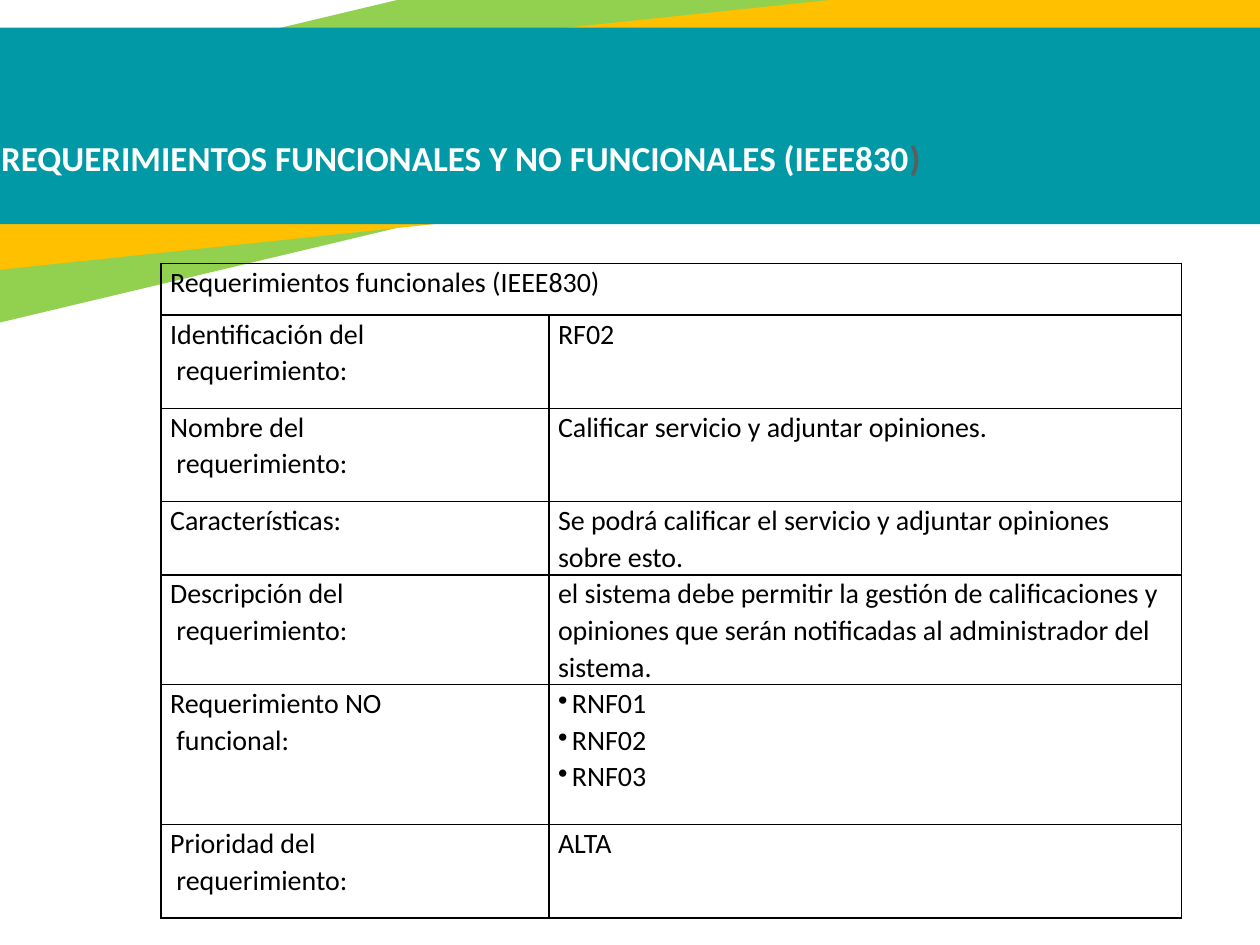
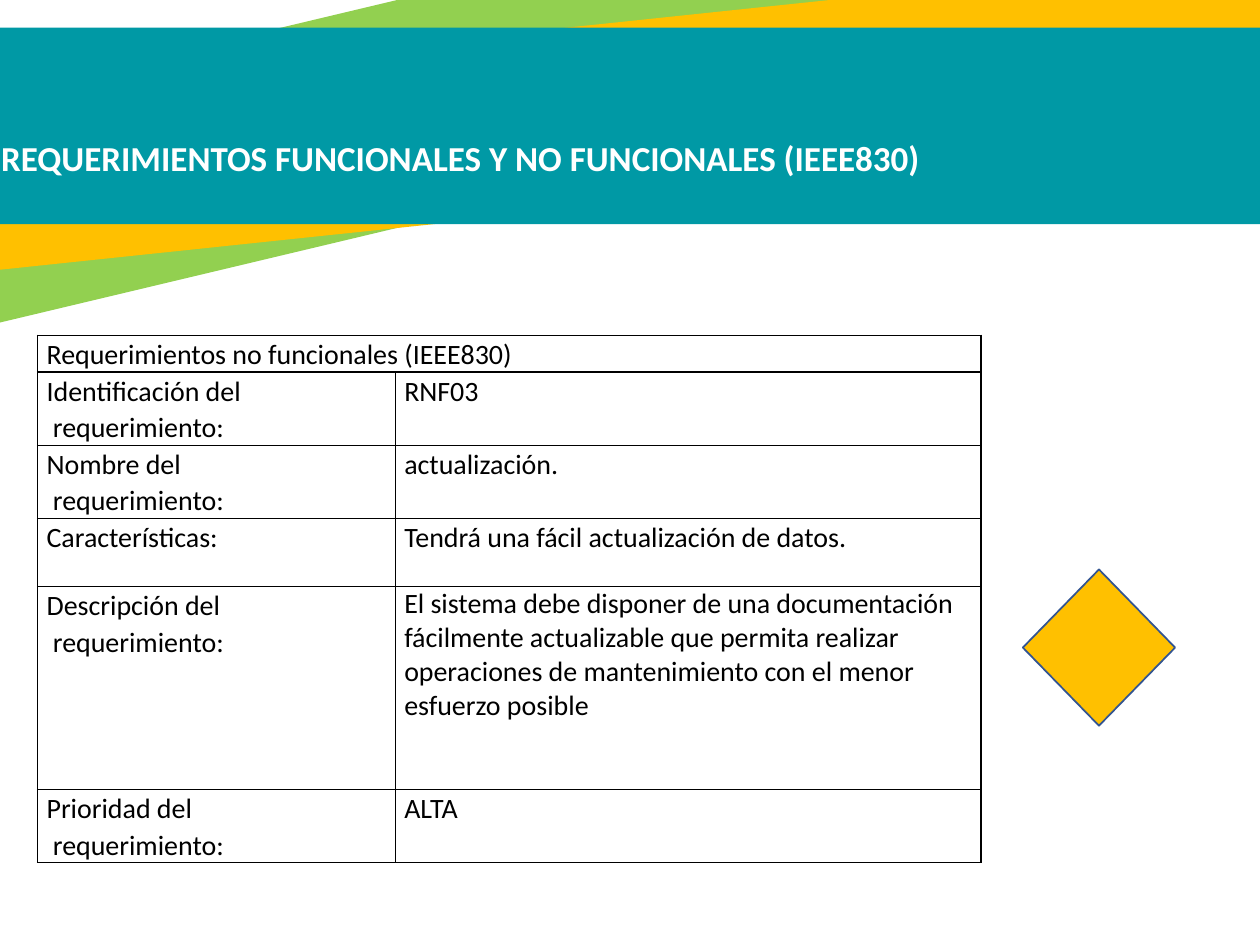
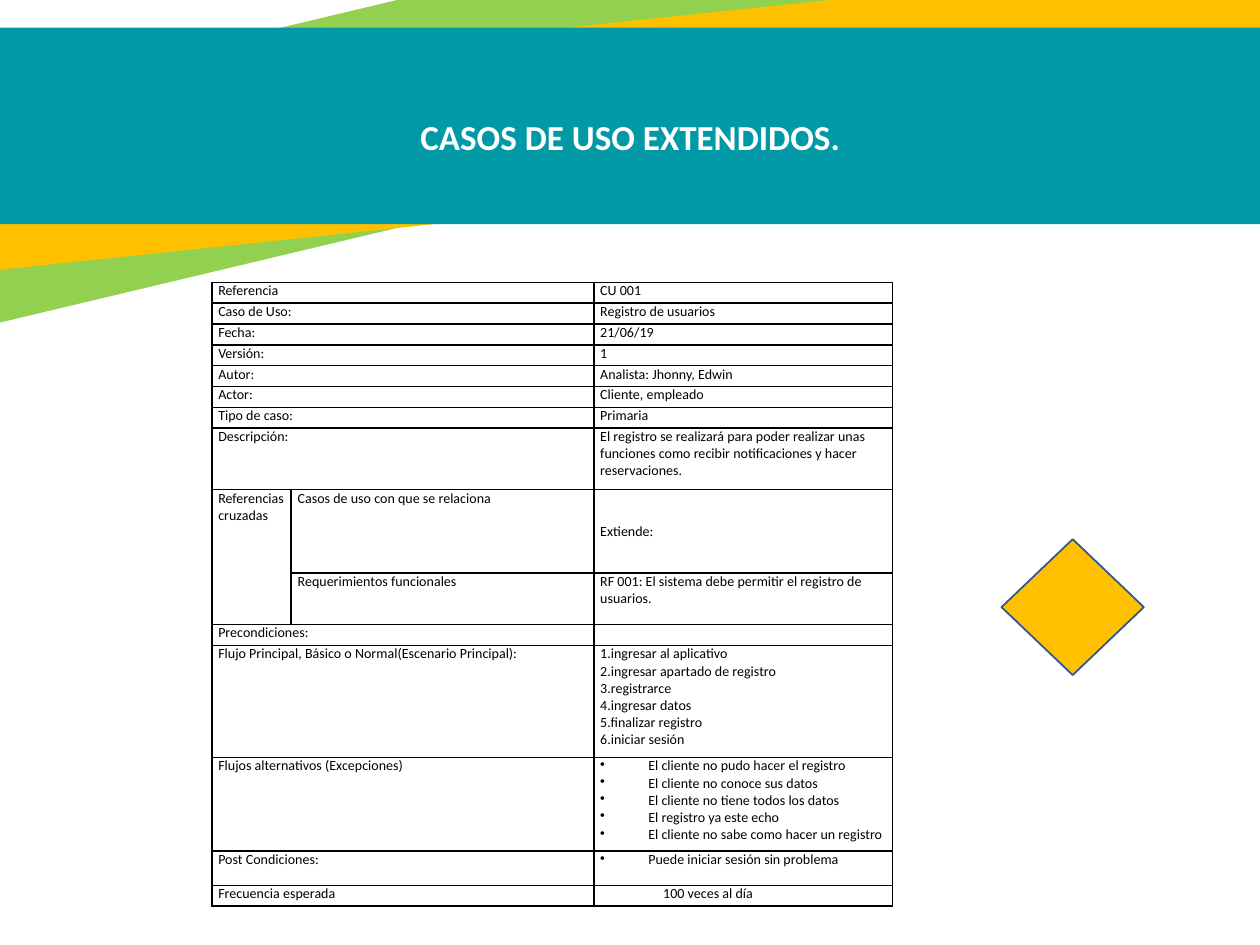
"""Build three slides with requirement tables and an extended use case."""
from lxml import etree
from pptx import Presentation
from pptx.dml.color import RGBColor
from pptx.enum.shapes import MSO_SHAPE
from pptx.enum.text import MSO_ANCHOR, MSO_AUTO_SIZE, PP_ALIGN
from pptx.oxml.ns import qn
from pptx.util import Cm, Pt

RECT, DIAMOND = MSO_SHAPE.RECTANGLE, MSO_SHAPE.DIAMOND
TOP, MIDDLE = MSO_ANCHOR.TOP, MSO_ANCHOR.MIDDLE
LEFT, CENTER = PP_ALIGN.LEFT, PP_ALIGN.CENTER
NO_FIT = MSO_AUTO_SIZE.NONE

FONT = "Calibri"
GREEN, AMBER, TEAL = "92D050", "FFC000", "0099A5"
WHITE, BLACK, GRAY, NAVY = "FFFFFF", "000000", "5E5C5D", "325491"


def add_shape(s, kind, box, fill, line=None):
    sp = s.shapes.add_shape(kind, *[Cm(v) for v in box])
    sp.shadow.inherit = False
    sp.fill.solid()
    sp.fill.fore_color.rgb = RGBColor.from_string(fill)
    if line:
        sp.line.color.rgb = RGBColor.from_string(line)
        sp.line.width = Pt(1)
    else:
        sp.line.fill.background()
    return sp


def add_run(p, text, size, color, bold=False):
    r = p.add_run()
    r.text = text
    r.font.name = FONT
    r.font.size = Pt(size)
    r.font.bold = bold
    r.font.color.rgb = RGBColor.from_string(color)


ID, NAME = "Identificación del\n requerimiento:", "Nombre del\n requerimiento:"
FEATURES, DESCRIPTION = "Características:", "Descripción del\n requerimiento:"
PRIORITY = "Prioridad del\n requerimiento:"
REQUIREMENTS = "REQUERIMIENTOS FUNCIONALES Y NO FUNCIONALES (IEEE830"

functional = [
    ("Requerimientos funcionales (IEEE830)", ""),
    (ID, "RF02"),
    (NAME, "Calificar servicio y adjuntar opiniones."),
    (FEATURES, "Se podrá calificar el servicio y adjuntar opiniones sobre esto."),
    (DESCRIPTION, "el sistema debe permitir la gestión de calificaciones y opiniones "
                  "que serán notificadas al administrador del sistema."),
    ("Requerimiento NO\n funcional:", "•RNF01\n•RNF02\n•RNF03"),
    (PRIORITY, "ALTA"),
]
non_functional = [
    ("Requerimientos no funcionales (IEEE830)", ""),
    (ID, "RNF03"),
    (NAME, "actualización."),
    (FEATURES, "Tendrá una fácil actualización de datos."),
    (DESCRIPTION, "El sistema debe disponer de una documentación fácilmente actualizable "
                  "que permita realizar operaciones de mantenimiento con el menor "
                  "esfuerzo posible"),
    (PRIORITY, "ALTA"),
]
use_case = [
    ("Referencia", "", "CU 001"),
    ("Caso de Uso:", "", "Registro de usuarios"),
    ("Fecha:", "", "21/06/19"),
    ("Versión:", "", "1"),
    ("Autor:", "", "Analista: Jhonny, Edwin"),
    ("Actor:", "", "Cliente, empleado"),
    ("Tipo de caso:", "", "Primaria"),
    ("Descripción:", "", "El registro se realizará para poder realizar unas funciones "
                         "como recibir notificaciones y hacer reservaciones."),
    ("Referencias cruzadas", "Casos de uso con que se relaciona", "Extiende:"),
    ("", "Requerimientos funcionales",
     "RF 001: El sistema debe permitir el registro de usuarios."),
    ("Precondiciones:", "", ""),
    ("Flujo Principal, Básico o Normal(Escenario Principal):", "",
     "1.ingresar al aplicativo\n2.ingresar apartado de registro\n3.registrarce\n"
     "4.ingresar datos\n5.finalizar registro\n6.iniciar sesión"),
    ("Flujos alternativos (Excepciones)", "",
     "•El cliente no pudo hacer el registro\n•El cliente no conoce sus datos\n"
     "•El cliente no tiene todos los datos\n•El registro ya este echo\n"
     "•El cliente no sabe como hacer un registro"),
    ("Post Condiciones:", "", "•Puede iniciar sesión sin problema"),
    ("Frecuencia esperada", "", "100 veces al día"),
]

title_box, wide_title_box = (-0.23, 2.62, 20.57, 1.12), (2.74, 0.58, 19.94, 4.34)
slides = [
    dict(title=[(REQUIREMENTS, WHITE), (")", GRAY)], title_box=title_box,
         anchor=TOP, align=LEFT, rows=functional, at=(3.25, 5.31),
         widths=[7.82, 12.75], heights=[1.04, 1.88, 1.88, 1.47, 2.21, 2.82, 1.88],
         size=16, margin=0.18, spacing=1.07, indent=0.28, diamond=None),
    dict(title=[(REQUIREMENTS + ")", WHITE)], title_box=title_box,
         anchor=TOP, align=LEFT, rows=non_functional, at=(0.76, 6.76),
         widths=[7.21, 11.81], heights=[0.74, 1.47, 1.47, 1.37, 4.09, 1.47],
         size=16, margin=0.18, spacing=1.07, indent=0.28,
         diamond=(20.62, 11.48, 3.07, 3.15)),
    dict(title=[("CASOS DE USO EXTENDIDOS.", WHITE)], title_box=wide_title_box,
         anchor=MIDDLE, align=CENTER, rows=use_case, at=(4.27, 5.69),
         widths=[1.6, 6.1, 6.02],
         heights=[0.42] * 7 + [1.24, 1.68, 1.04, 0.42, 2.26, 1.89, 0.69, 0.42],
         size=8, margin=0.13, spacing=1, indent=0.97,
         diamond=(20.19, 10.87, 2.87, 2.74)),
]

prs = Presentation()
prs.slide_width, prs.slide_height = Cm(25.4), Cm(19.05)
layout = prs.slide_layouts[5]
for ph in list(layout.placeholders)[1:]:
    ph.element.getparent().remove(ph.element)

tables = []
for number, d in enumerate(slides):
    s = prs.slides.add_slide(layout)
    if number == 0:
        for box, angle, color in [((-6.38, -0.46, 33.17, 4.47), 346.6, GREEN),
                                  ((-2.79, 0.51, 29.54, 3.66), 354, AMBER),
                                  ((-2.69, 0.56, 29.54, 3.96), 0, TEAL)]:
            band = add_shape(s, RECT, box, color)
            band.rotation = angle
            layout.shapes.element.append(band.element)

    title = s.shapes.title
    title.left, title.top, title.width, title.height = [Cm(v) for v in d["title_box"]]
    tf = title.text_frame
    tf.word_wrap = True
    tf.auto_size = NO_FIT
    tf.vertical_anchor = d["anchor"]
    p = tf.paragraphs[0]
    p.alignment = d["align"]
    for text, color in d["title"]:
        add_run(p, text, 20, color, bold=True)

    rows, widths, heights = d["rows"], d["widths"], d["heights"]
    frame = s.shapes.add_table(len(rows), len(widths), *[Cm(v) for v in d["at"]],
                               Cm(sum(widths)), Cm(sum(heights)))
    table = frame.table
    tables.append(table)
    table.first_row = table.horz_banding = False
    for column, width in zip(table.columns, widths):
        column.width = Cm(width)
    for row, height in zip(table.rows, heights):
        row.height = Cm(height)
    for i, row in enumerate(rows):
        if row[1] == "" and (i == 0 or len(row) == 3):
            table.cell(i, 0).merge(table.cell(i, 1))
        if row[0] == "":
            table.cell(i - 1, 0).merge(table.cell(i, 0))
        for j, content in enumerate(row):
            cell = table.cell(i, j)
            cell.margin_left = cell.margin_right = Cm(d["margin"])
            cell.margin_top = cell.margin_bottom = 0
            tcPr = cell._tc.get_or_add_tcPr()
            for side in ("a:lnL", "a:lnR", "a:lnT", "a:lnB"):
                ln = etree.SubElement(tcPr, qn(side), w=str(Pt(1)))
                fill = etree.SubElement(ln, qn("a:solidFill"))
                etree.SubElement(fill, qn("a:srgbClr"), val=BLACK)
            cell.fill.background()
            tf = cell.text_frame
            for k, line in enumerate(content.split("\n")):
                p = tf.add_paragraph() if k else tf.paragraphs[0]
                p.line_spacing = d["spacing"]
                if line.startswith("•"):
                    pPr = p._p.get_or_add_pPr()
                    pPr.set("marL", str(Cm(d["indent"])))
                    pPr.set("indent", str(-Cm(d["indent"])))
                    etree.SubElement(pPr, qn("a:buChar"), char="•")
                if line:
                    add_run(p, line.lstrip("•"), d["size"], BLACK)
                else:
                    etree.SubElement(p._p, qn("a:endParaRPr"), sz=str(d["size"] * 100))

    if d["diamond"]:
        add_shape(s, DIAMOND, d["diamond"], AMBER, NAVY)

tables[1].cell(4, 1).text_frame.paragraphs[0].line_spacing = 1
tables[2].cell(8, 2).vertical_anchor = MIDDLE
frequency = tables[2].cell(14, 2).text_frame.paragraphs[0]
frequency._p.get_or_add_pPr().set("marL", str(Cm(1.27)))

prs.save("out.pptx")
